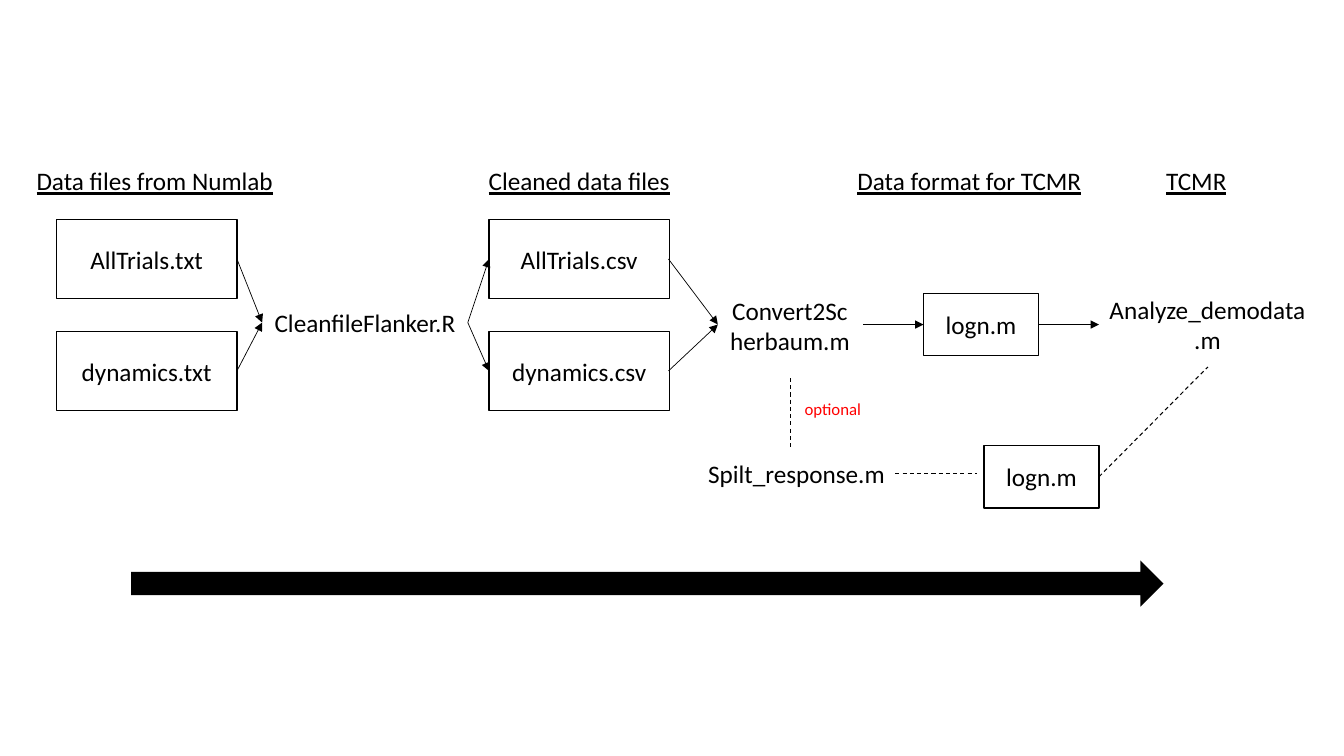
from lxml import etree
from pptx import Presentation
from pptx.dml.color import RGBColor
from pptx.enum.dml import MSO_LINE
from pptx.enum.shapes import MSO_CONNECTOR, MSO_SHAPE
from pptx.enum.text import MSO_ANCHOR, PP_ALIGN
from pptx.oxml.ns import qn
from pptx.util import Inches, Pt

BLACK = RGBColor(0x00, 0x00, 0x00)
WHITE = RGBColor(0xFF, 0xFF, 0xFF)
RED = RGBColor(0xFF, 0x00, 0x00)

deck = Presentation()
deck.slide_width, deck.slide_height = Inches(13.33), Inches(7.5)
page = deck.slides.add_slide(deck.slide_layouts[6])


def add_label(text, left, top, width, height, border=None, size=18,
              color=BLACK, underline=None):
    """Add centred text, in a white rectangle when a border colour is given."""
    place = [Inches(value) for value in (left, top, width, height)]
    if border is None:
        box = page.shapes.add_textbox(*place)
    else:
        box = page.shapes.add_shape(MSO_SHAPE.RECTANGLE, *place)
        box.shadow.inherit = False
        box.fill.solid()
        box.fill.fore_color.rgb = WHITE
        box.line.color.rgb = border
        box.line.width = Pt(1)
    frame = box.text_frame
    frame.word_wrap = True
    frame.vertical_anchor = MSO_ANCHOR.MIDDLE
    para = frame.paragraphs[0]
    para.alignment = PP_ALIGN.CENTER
    span = para.add_run()
    span.text = text
    span.font.name = "Calibri"
    span.font.size = Pt(size)
    span.font.color.rgb = color
    span.font.underline = underline


def add_link(start, end, dashed=False):
    """Join two points with a solid arrow or a plain dashed line."""
    link = page.shapes.add_connector(
        MSO_CONNECTOR.STRAIGHT, *[Inches(value) for value in start + end])
    link.line.color.rgb = BLACK
    link.line.width = Pt(0.75 if dashed else 0.5)
    if dashed:
        link.line.dash_style = MSO_LINE.DASH
    else:
        outline = link.line._get_or_add_ln()
        etree.SubElement(outline, qn("a:tailEnd"), type="triangle")
    etree.SubElement(link._element.spPr, qn("a:effectLst"))


# Column headings
for heading, left in [("Data files from Numlab", 0.15),
                      ("Cleaned data files", 4.36),
                      ("Data format for TCMR", 8.23),
                      ("TCMR", 10.48)]:
    add_label(heading, left, 1.16, 2.77, 1.27, underline=True)

# Data files: one column per format, one row per file
for extension, left in [("txt", 0.56), ("csv", 4.85)]:
    for name, top in [("AllTrials", 2.18), ("dynamics", 3.29)]:
        add_label(f"{name}.{extension}", left, top, 1.79, 0.78, border=BLACK)
for left, top in [(9.16, 2.91), (9.76, 4.42)]:
    add_label("logn.m", left, top, 1.14, 0.62, border=BLACK)

# Processing scripts
add_label("CleanfileFlanker.R", 2.6, 2.67, 2.04, 1.05, border=WHITE)
add_label("Convert2Scherbaum.m", 7.12, 2.7, 1.43, 1.05, border=WHITE)
add_label("Analyze_demodata.m", 10.9, 2.79, 2.15, 0.85, border=WHITE)
add_label("Spilt_response.m", 6.88, 4.17, 2.04, 1.05)
add_label("optional", 7.24, 3.53, 2.04, 1.05, size=12, color=RED)

# Main flow
for row_middle in (2.57, 3.68):
    add_link((2.35, row_middle), (2.6, 3.2))
    add_link((4.64, 3.2), (4.85, row_middle))
    add_link((6.63, row_middle), (7.12, 3.22))
add_link((8.56, 3.22), (9.16, 3.22))
add_link((10.3, 3.22), (10.9, 3.22))

# Optional branch
for start, end in [((7.84, 3.75), (7.84, 4.43)),
                   ((8.88, 4.7), (9.69, 4.7)),
                   ((10.9, 4.73), (11.98, 3.64))]:
    add_link(start, end, dashed=True)

# Overall direction
direction = page.shapes.add_shape(MSO_SHAPE.RIGHT_ARROW, Inches(1.3),
                                  Inches(5.56), Inches(10.24), Inches(0.46))
direction.shadow.inherit = False
direction.fill.solid()
direction.fill.fore_color.rgb = BLACK
direction.line.fill.background()

deck.save("out.pptx")
